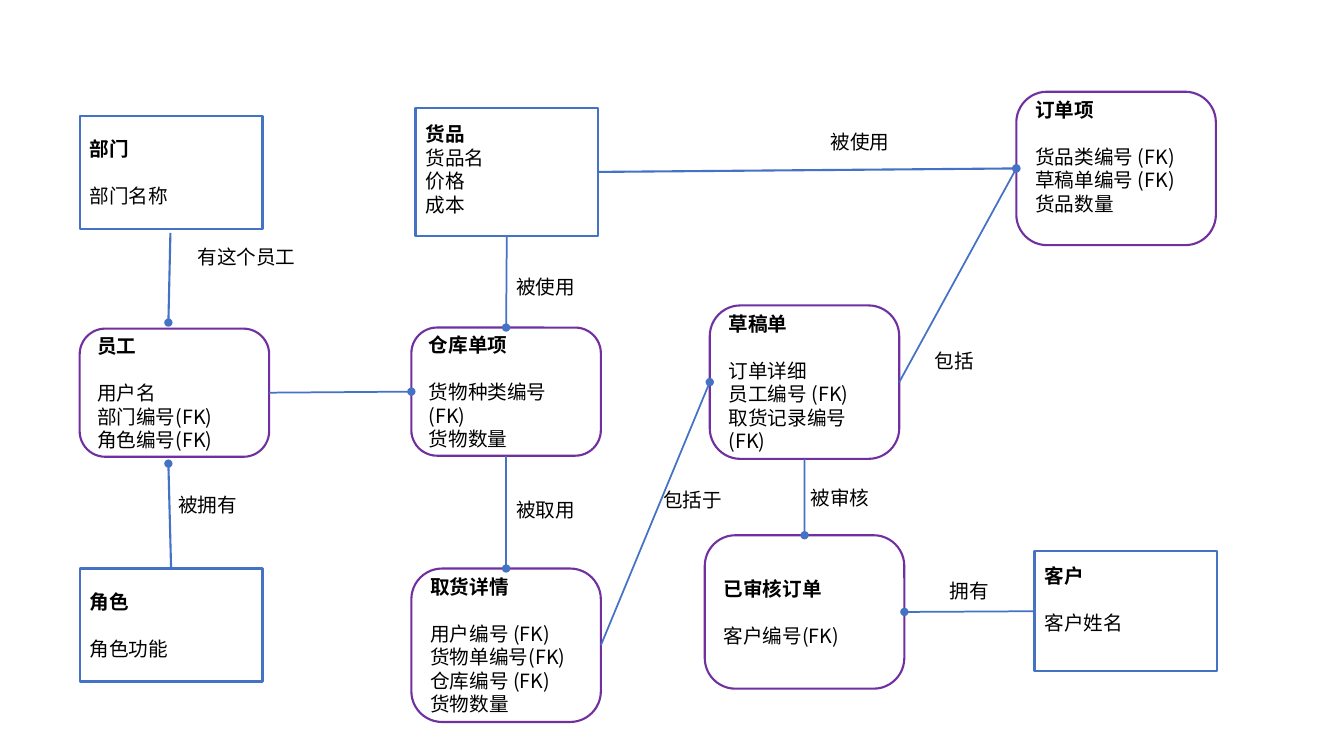
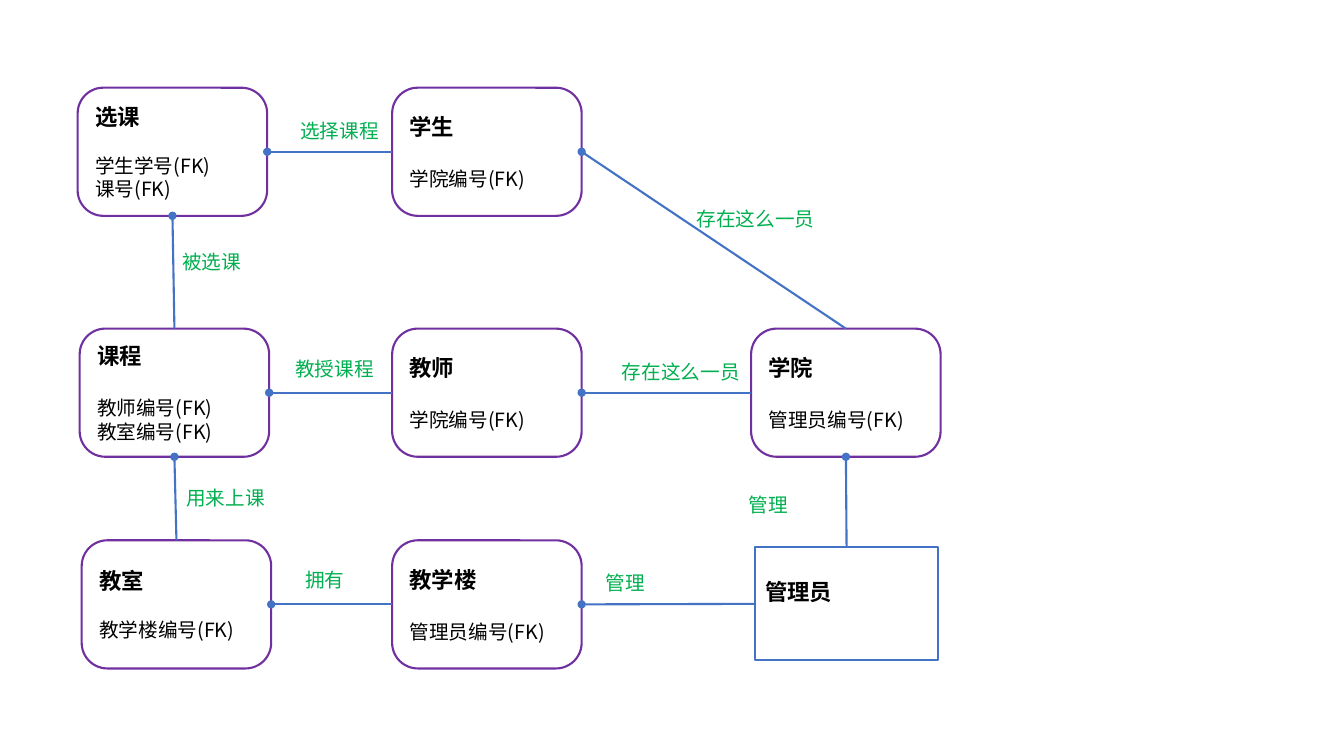
from lxml import etree
from pptx import Presentation, util as u
from pptx.dml.color import RGBColor
from pptx.enum import shapes, text
from pptx.oxml.ns import qn

# Shared style
FONT = "Noto Sans CJK SC"
PURPLE = RGBColor(0x70, 0x30, 0xA0)
BLUE = RGBColor(0x44, 0x72, 0xC4)
GREEN = RGBColor(0x00, 0xB0, 0x50)
BLACK = RGBColor(0, 0, 0)
WHITE = RGBColor(0xFF, 0xFF, 0xFF)
BODY = 14
LEADING = 1.2
SITES = {"top": 0, "left": 1, "bottom": 2, "right": 3}

# The grid: 100 columns by 100 rows over the slide
WIDTH, HEIGHT = u.Inches(13.33), u.Inches(7.5)
ROUND = (14.1, 16.95)
TALL = (14.1, 20.3)
WIDE = (14.85, 20.3)
PLAIN = (13.6, 14.95)


def col(n):
    return round(WIDTH * n / 100)


def row(n):
    return round(HEIGHT * n / 100)


def write(p, words, size=BODY, bold=False, color=BLACK, before=0):
    p.alignment = text.PP_ALIGN.LEFT
    p.line_spacing = u.Pt(size * LEADING)
    p.space_before = u.Pt(before)
    r = p.add_run()
    r.text = words
    r.font.size, r.font.bold, r.font.name = u.Pt(size), bold, FONT
    r.font.color.rgb = color
    etree.SubElement(r.font._element, qn("a:ea"), typeface=FONT)


def entity(s, x, y, size, name, fields=(), rounded=True, title=BODY, gap=BODY,
           lift=0):
    """Box with a bold name over its fields; lift raises the text by lines."""
    kind = shapes.MSO_SHAPE.ROUNDED_RECTANGLE if rounded else shapes.MSO_SHAPE.RECTANGLE
    sp = s.shapes.add_shape(kind, col(x), row(y), col(size[0]), row(size[1]))
    sp.shadow.inherit = False
    if rounded:
        sp.adjustments[0] = 0.2
    sp.fill.solid()
    sp.fill.fore_color.rgb = WHITE
    sp.line.color.rgb = PURPLE if rounded else BLUE
    sp.line.width = u.Pt(1.5)
    tf = sp.text_frame
    tf.word_wrap = True
    tf.vertical_anchor = text.MSO_ANCHOR.MIDDLE
    tf.margin_bottom = u.Inches(0.05) + u.Pt(lift * BODY * LEADING)
    write(tf.paragraphs[0], name, size=title, bold=True)
    for i, field in enumerate(fields):
        write(tf.add_paragraph(), field, before=0 if i else gap * LEADING)
    return sp


def link(s, boxes, start, end, width=1.5):
    """Line with a dot at its end; each end is (box, side) or a grid point."""
    c = s.shapes.add_connector(shapes.MSO_CONNECTOR.STRAIGHT, 0, 0, 0, 0)
    if start[0] in boxes:
        c.begin_connect(boxes[start[0]], SITES[start[1]])
    else:
        c.begin_x, c.begin_y = col(start[0]), row(start[1])
    if end[0] in boxes:
        c.end_connect(boxes[end[0]], SITES[end[1]])
    else:
        c.end_x, c.end_y = col(end[0]), row(end[1])
    c.line.color.rgb = BLUE
    c.line.width = u.Pt(width)
    etree.SubElement(c.line._get_or_add_ln(), qn("a:tailEnd"), type="oval")
    etree.SubElement(c._element.spPr, qn("a:effectLst"))


def label(s, x, y, words, color=BLACK):
    width = u.Inches(0.2) + u.Pt(BODY * len(words))
    tf = s.shapes.add_textbox(col(x), row(y), width, row(4.5)).text_frame
    tf.word_wrap = False
    write(tf.paragraphs[0], words, color=color)


def diagram(prs, entities, links, labels, color=BLACK, **style):
    s = prs.slides.add_slide(prs.slide_layouts[6])
    boxes = {}
    for *place, name, fields, extra in entities:
        boxes[name] = entity(s, *place, name, fields, **{**style, **extra})
    for start, end, *width in links:
        link(s, boxes, start, end, *width)
    for x, y, words in labels:
        label(s, x, y, words, color)


def orders(prs):
    square = {"rounded": False}
    thin = 1.25
    entities = [
        (30.61, 75.2, TALL, "取货详情",
         ["用户编号 (FK) ", "货物单编号(FK)", "仓库编号 (FK)", "货物数量"], {}),
        (30.61, 43.33, ROUND, "仓库单项", ["货物种类编号 (FK)", "货物数量"], {}),
        (52.44, 70.8, WIDE, "已审核订单", ["客户编号(FK)"], {}),
        (52.81, 40.4, TALL, "草稿单",
         ["订单详细", "员工编号 (FK)", "取货记录编号(FK)"], {}),
        (75.62, 12.13, WIDE, "订单项",
         ["货品类编号 (FK)", "草稿单编号 (FK)", "货品数量"], {"lift": 1}),
        (30.91, 14.27, (13.6, 16.95), "货品", ["货品名", "价格", "成本"],
         {"gap": 0, "lift": 0.25, **square}),
        (76.97, 72.93, (13.6, 15.85), "客户", ["客户姓名"], {"lift": 1, **square}),
        (5.93, 15.33, PLAIN, "部门", ["部门名称"], square),
        (5.93, 75.2, PLAIN, "角色", ["角色功能"], square),
        (5.93, 43.47, ROUND, "员工", ["用户名", "部门编号(FK)", "角色编号(FK)"], {}),
    ]
    links = [
        (("员工", "right"), ("仓库单项", "left"), thin),
        (("货品", "bottom"), ("仓库单项", "top"), thin),
        (("仓库单项", "bottom"), ("取货详情", "top"), thin),
        (("取货详情", "right"), ("草稿单", "left"), thin),
        (("客户", "left"), ("已审核订单", "right"), thin),
        (("草稿单", "right"), ("订单项", "left"), thin),
        (("草稿单", "bottom"), ("已审核订单", "top"), thin),
        ((12.68, 30.8), (12.53, 42.67)),
        (("角色", "top"), (12.53, 61.33)),
        (("货品", "right"), ("订单项", "left")),
    ]
    labels = [
        (13.95, 31.73, "有这个员工"), (69.92, 75.87, "拥有"),
        (68.79, 45.47, "包括"), (59.56, 63.6, "被审核"),
        (48.61, 63.87, "包括于"), (37.66, 65.2, "被取用"),
        (37.66, 35.73, "被使用"), (12.53, 64.53, "被拥有"),
        (61.07, 16.53, "被使用"),
    ]
    diagram(prs, entities, links, labels)


def courses(prs):
    top, middle, bottom = 11.6, 43.47, 71.47
    second, third = 29.18, 55.89
    entities = [
        (5.78, top, ROUND, "选课", ["学生学号(FK)", "课号(FK)"], {"gap": BODY}),
        (5.93, middle, ROUND, "课程", ["教师编号(FK)", "教室编号(FK)"], {}),
        (6.08, bottom, ROUND, "教室", ["教学楼编号(FK)"], {"gap": BODY}),
        (second, top, ROUND, "学生", ["学院编号(FK)"], {}),
        (second, middle, ROUND, "教师", ["学院编号(FK)"], {}),
        (second, bottom, ROUND, "教学楼", ["管理员编号(FK)"], {}),
        (third, middle, ROUND, "学院", ["管理员编号(FK)"], {}),
        (56.19, 72.4, PLAIN, "管理员", [], {"rounded": False, "lift": 1}),
    ]
    links = [
        (("课程", "top"), ("选课", "bottom")),
        (("学生", "left"), ("选课", "right")),
        (("学院", "left"), ("教师", "right")),
        (("教师", "left"), ("课程", "right")),
        (("教室", "top"), ("课程", "bottom")),
        (("教学楼", "left"), ("教室", "right")),
        (("管理员", "left"), ("教学楼", "right")),
        (("管理员", "top"), ("学院", "bottom")),
        (("学院", "top"), ("学生", "right")),
    ]
    labels = [
        (12.83, 32.4, "被选课"), (54.99, 64.53, "管理"),
        (44.34, 74.8, "管理"), (21.98, 74.4, "拥有"),
        (13.13, 63.6, "用来上课"), (21.23, 46.53, "教授课程"),
        (21.61, 15.07, "选择课程"), (45.54, 46.93, "存在这么一员"),
        (51.09, 26.67, "存在这么一员"),
    ]
    diagram(prs, entities, links, labels, color=GREEN, title=16, gap=16)


def main():
    prs = Presentation()
    prs.slide_width, prs.slide_height = WIDTH, HEIGHT
    orders(prs)
    courses(prs)
    prs.save("out.pptx")


main()
